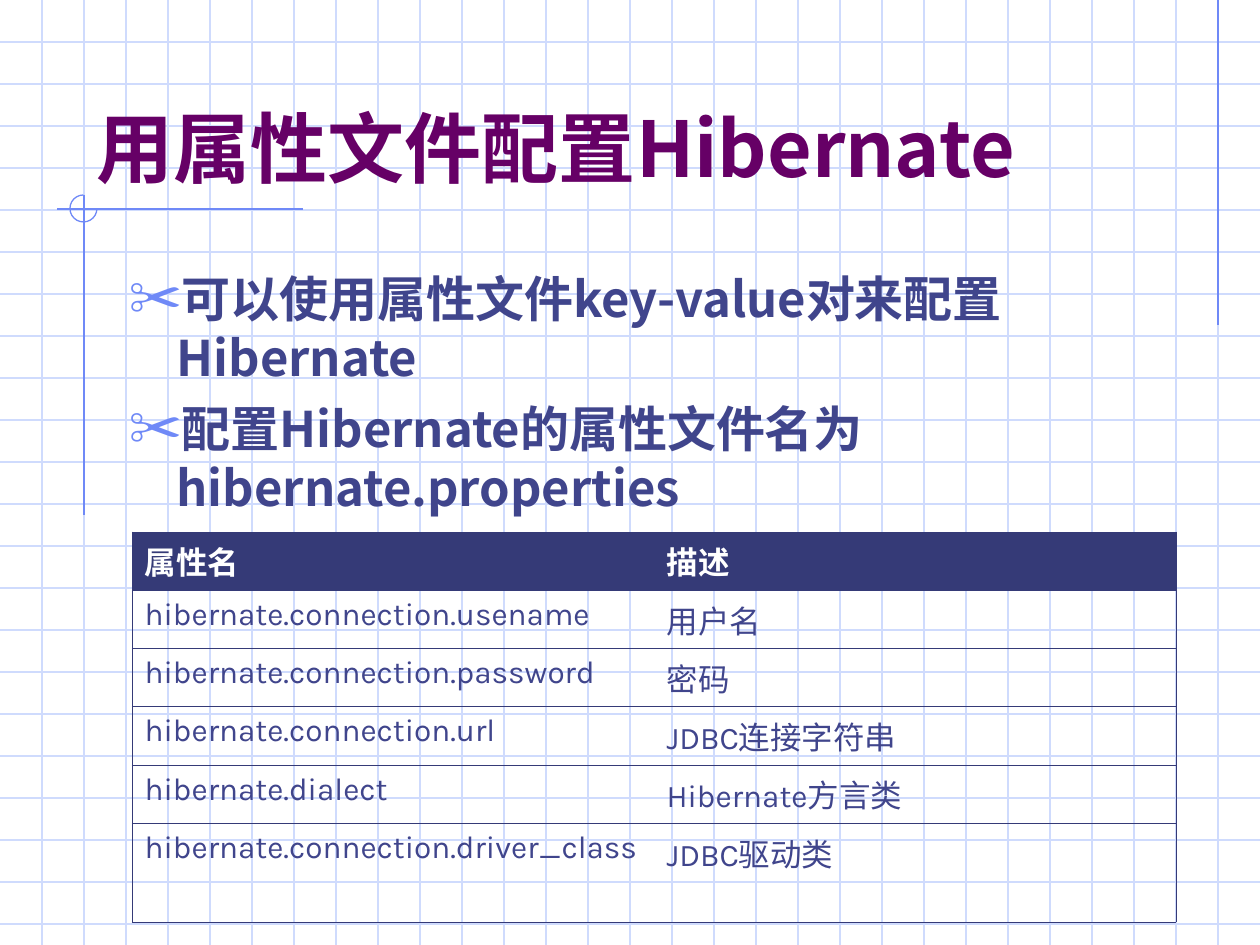
"""Build the slide on configuring Hibernate with a properties file."""
import lxml.etree
import pptx
import pptx.dml.color
import pptx.enum.shapes
import pptx.enum.text
import pptx.oxml
import pptx.oxml.ns
import pptx.util

PX = 914400 / 126
WIDTH, HEIGHT, GRID_STEP = 1260, 945, 42
THEME = {
    "grid": "CFDBFD", "accent": "6F89F7", "title": "660066", "text": "40458C",
    "header": "353A77", "header_text": "FFFFFF",
    "title_size": 44, "body_size": 28, "table_size": 18, "line": 0.75, "border": 0.34,
    "latin": "Karla", "cjk": "Noto Sans CJK SC",
}
NO_TABLE_STYLE = "{2D5ABB26-0587-4C30-8999-92F81FD0307C}"
qn = pptx.oxml.ns.qn


def emu(*lengths):
    return [pptx.util.Emu(round(length * PX)) for length in lengths]


def write(para, text, face, size, color, bold):
    span = para.add_run()
    span.text = text
    values = {"name": face, "size": pptx.util.Pt(size), "bold": bold}
    for name, value in values.items():
        setattr(span.font, name, value)
    span.font.color.rgb = pptx.dml.color.RGBColor.from_string(THEME[color])
    east_asian = lxml.etree.SubElement(span.font._element, qn("a:ea"))
    east_asian.set("typeface", THEME["cjk"])


deck = pptx.Presentation()
deck.slide_width, deck.slide_height = emu(WIDTH, HEIGHT)
page = deck.slides.add_slide(deck.slide_layouts[1])
title, body = page.placeholders

rules = [("grid", 0, y, WIDTH, y) for y in range(GRID_STEP, HEIGHT, GRID_STEP)]
rules += [("grid", x, 0, x, HEIGHT) for x in range(GRID_STEP, WIDTH, GRID_STEP)]
rules += [
    ("accent", 1218, 0, 1218, 325),
    ("accent", 303, 209, 57, 209),
    ("accent", 84, 195, 84, 515),
]
for color, *ends in rules:
    rule = page.shapes.add_connector(pptx.enum.shapes.MSO_CONNECTOR.STRAIGHT, *emu(*ends))
    rule.line.color.rgb = pptx.dml.color.RGBColor.from_string(THEME[color])
    rule.line.width = pptx.util.Pt(THEME["line"])
    lxml.etree.SubElement(rule._element.spPr, qn("a:effectLst"))

arc = page.shapes.add_shape(pptx.enum.shapes.MSO_SHAPE.ARC, *emu(70, 195, 27, 27))
arc.adjustments[0], arc.adjustments[1] = 0, 162
arc.shadow.inherit = False
arc.fill.background()
arc.line.color.rgb = pptx.dml.color.RGBColor.from_string(THEME["accent"])
arc.line.width = pptx.util.Pt(THEME["line"])

anchors = pptx.enum.text.MSO_ANCHOR
for box, place, anchor in (
    (title, (84, 42, 1071, 157), anchors.BOTTOM),
    (body, (116, 262, 1071, 567), anchors.TOP),
):
    page.shapes._spTree.append(box._element)
    for name, value in zip(("left", "top", "width", "height"), emu(*place)):
        setattr(box, name, value)
    frame_format = {
        "vertical_anchor": anchor,
        "word_wrap": True,
        "auto_size": pptx.enum.text.MSO_AUTO_SIZE.NONE,
    }
    for name, value in frame_format.items():
        setattr(box.text_frame, name, value)

heading = title.text_frame.paragraphs[0]
heading.alignment = pptx.enum.text.PP_ALIGN.LEFT
write(heading, "用属性文件配置Hibernate", THEME["cjk"], THEME["title_size"], "title", True)

points = [
    "可以使用属性文件key-value对来配置Hibernate",
    "配置Hibernate的属性文件名为hibernate.properties",
]
indent = emu(48)[0]
for index, point in enumerate(points):
    para = body.text_frame.add_paragraph() if index else body.text_frame.paragraphs[0]
    para.space_before = pptx.util.Pt(7)
    write(para, point, THEME["cjk"], THEME["body_size"], "text", True)
    settings = para._p.get_or_add_pPr()
    settings.set("marL", str(indent))
    settings.set("indent", str(-indent))
    bullet_color = lxml.etree.SubElement(settings, qn("a:buClr"))
    lxml.etree.SubElement(bullet_color, qn("a:srgbClr")).set("val", THEME["accent"])
    lxml.etree.SubElement(settings, qn("a:buSzPct")).set("val", "110000")
    lxml.etree.SubElement(settings, qn("a:buChar")).set("char", "✂")

rows = [
    ("属性名", "描述"),
    ("hibernate.connection.usename", "用户名"),
    ("hibernate.connection.password", "密码"),
    ("hibernate.connection.url", "JDBC连接字符串"),
    ("hibernate.dialect", "Hibernate方言类"),
    ("hibernate.connection.driver_class", "JDBC驱动类"),
]
row_heights = [58] * 5 + [99]
table = page.shapes.add_table(
    len(rows), 2, *emu(132, 532, 1044, sum(row_heights))
).table
table._tbl.tblPr.find(qn("a:tableStyleId")).text = NO_TABLE_STYLE
for row_index, (texts, height) in enumerate(zip(rows, row_heights)):
    table.rows[row_index].height = emu(height)[0]
    is_header = row_index == 0
    for column_index, text in enumerate(texts):
        cell = table.cell(row_index, column_index)
        color = "header_text" if is_header else "text"
        write(cell.text_frame.paragraphs[0], text, THEME["latin"],
              THEME["table_size"], color, is_header)
        settings = cell._tc.get_or_add_tcPr()
        for side in ("lnL", "lnT", "lnB") if column_index == 0 else ("lnR", "lnT", "lnB"):
            border = lxml.etree.SubElement(settings, qn(f"a:{side}"))
            border.set("w", str(pptx.util.Pt(THEME["border"])))
            fill = lxml.etree.SubElement(border, qn("a:solidFill"))
            lxml.etree.SubElement(fill, qn("a:srgbClr")).set("val", THEME["header"])
        if is_header:
            cell.fill.solid()
            cell.fill.fore_color.rgb = pptx.dml.color.RGBColor.from_string(THEME["header"])
        else:
            cell.fill.background()

deck.save("out.pptx")
